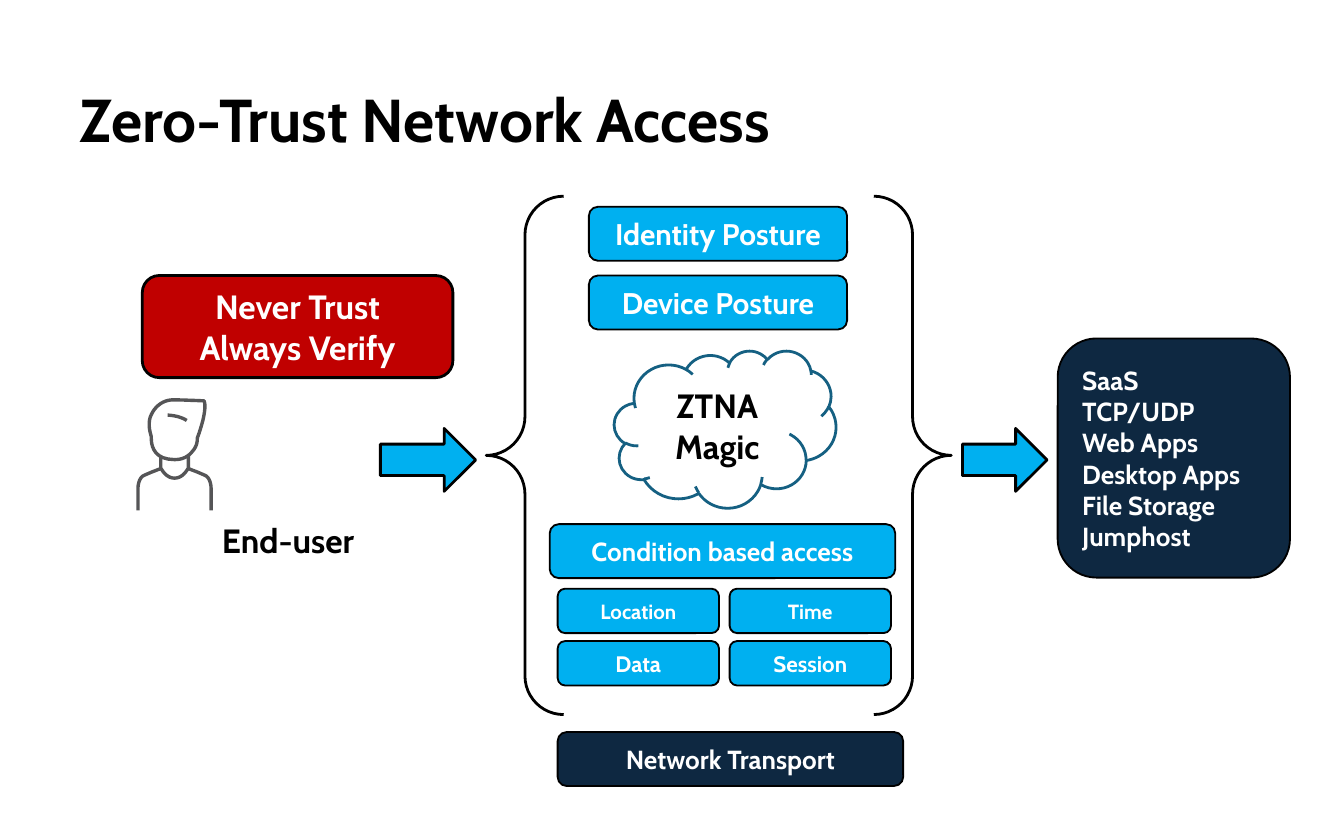
from dataclasses import dataclass
from itertools import product

from pptx import Presentation
from pptx.dml.color import RGBColor
from pptx.enum.shapes import MSO_SHAPE
from pptx.enum.text import MSO_ANCHOR, PP_ALIGN
from pptx.util import Cm, Pt

FONT = "Cabin"
BLACK, WHITE = "000000", "FFFFFF"
BLUE, NAVY, RED = "00B0F0", "0E2841", "C00000"
CLOUD_EDGE, ICON_GRAY = "156082", "555557"


@dataclass
class Box:
    """A preset shape, with its place and size in centimetres."""
    left: float
    top: float
    width: float
    height: float
    text: str = ""
    size: float = 14
    kind: MSO_SHAPE = MSO_SHAPE.ROUNDED_RECTANGLE
    fill: str | None = BLUE
    edge: str = BLACK
    edge_width: float = 1
    color: str = WHITE
    align: PP_ALIGN = PP_ALIGN.CENTER
    inset: tuple = (0.25, 0.13)


def color_of(value: str) -> RGBColor:
    return RGBColor.from_string(value)


def write_text(shape, text, *, size, color=BLACK, align=PP_ALIGN.LEFT,
               anchor=MSO_ANCHOR.TOP, inset=(0.25, 0.13), line_spacing=None):
    frame = shape.text_frame
    frame.word_wrap = True
    frame.vertical_anchor = anchor
    frame.margin_left = frame.margin_right = Cm(inset[0])
    frame.margin_top = frame.margin_bottom = Cm(inset[1])
    frame.text = text
    for paragraph in frame.paragraphs:
        paragraph.alignment = align
        if line_spacing:
            paragraph.line_spacing = line_spacing
        for run in paragraph.runs:
            run.font.name = FONT
            run.font.size = Pt(size)
            run.font.bold = True
            run.font.color.rgb = color_of(color)


def style_shape(shape, fill: str | None, edge: str, edge_width: float) -> None:
    shape.shadow.inherit = False
    if fill:
        shape.fill.solid()
        shape.fill.fore_color.rgb = color_of(fill)
    else:
        shape.fill.background()
    shape.line.color.rgb = color_of(edge)
    shape.line.width = Pt(edge_width)


def draw_box(slide, box: Box) -> None:
    shape = slide.shapes.add_shape(
        box.kind, Cm(box.left), Cm(box.top), Cm(box.width), Cm(box.height))
    style_shape(shape, box.fill, box.edge, box.edge_width)
    if box.text:
        write_text(shape, box.text, size=box.size, color=box.color,
                   align=box.align, anchor=MSO_ANCHOR.MIDDLE, inset=box.inset)


def trace(points: list[tuple], steps: int = 10) -> list[tuple]:
    """Sample a chain of cubic curves: a start, then three points per curve."""
    traced = [points[0]]
    for first in range(0, len(points) - 1, 3):
        curve = points[first:first + 4]
        for step in range(1, steps + 1):
            t = step / steps
            weights = ((1 - t) ** 3, 3 * t * (1 - t) ** 2,
                       3 * t ** 2 * (1 - t), t ** 3)
            traced.append(tuple(
                sum(weight * point[axis] for weight, point in zip(weights, curve))
                for axis in (0, 1)))
    return traced


def draw_user(slide) -> None:
    middle = 3.3

    def mirror(points: list[tuple]) -> list[tuple]:
        return [(2 * middle - x, y) for x, y in points]

    head = trace([
        (3.3, 8.69), (2.84, 8.69), (2.86, 8.33), (2.86, 8.26),
        (2.86, 8.24), (2.77, 8.01), (2.86, 7.84),
        (2.95, 7.65), (3.11, 7.56), (3.28, 7.56),
        (3.45, 7.56), (3.86, 7.58), (3.86, 7.58),
        (3.92, 7.75), (3.77, 8.18), (3.73, 8.28),
        (3.73, 8.33), (3.73, 8.43), (3.64, 8.53),
        (3.58, 8.61), (3.48, 8.69), (3.3, 8.69)])
    hair = trace([(3.17, 7.85), (3.17, 7.85), (3.38, 7.85), (3.53, 7.95)])
    shoulder = [(3.99, 9.65)] + trace([
        (3.99, 9.22), (3.99, 9.22), (3.99, 9.07), (3.9, 9),
        (3.78, 8.94), (3.56, 8.86), (3.56, 8.86)])
    neck_side = [(3.56, 8.62)] + trace([
        (3.56, 8.85), (3.53, 8.9), (3.45, 9.04), (middle, 9.04)])
    neck = neck_side + mirror(neck_side)[-2::-1]

    group = slide.shapes.add_group_shape()
    for stroke in (head, shoulder, neck, hair, mirror(shoulder)):
        points = [(Cm(x), Cm(y)) for x, y in stroke]
        builder = group.shapes.build_freeform(*points[0])
        builder.add_line_segments(points[1:], close=stroke is head)
        style_shape(builder.convert_to_shape(), None, ICON_GRAY, 1.8)


def main() -> None:
    presentation = Presentation()
    presentation.slide_width, presentation.slide_height = Cm(25.4), Cm(15.88)
    slide = presentation.slides.add_slide(presentation.slide_layouts[5])

    # Title
    title = slide.shapes.title
    title.left, title.top, title.width, title.height = (
        Cm(1.5), Cm(1.7), Cm(22.4), Cm(1.27))
    write_text(title, "Zero-Trust Network Access", size=32.4,
               inset=(0, 0), line_spacing=0.9)

    # End user
    draw_user(slide)
    label = slide.shapes.add_textbox(Cm(2.74), Cm(9.7), Cm(5.41), Cm(1.02))
    write_text(label, "End-user", size=18, align=PP_ALIGN.CENTER)

    # Cloud, arrows and application list
    applications = ["SaaS", "TCP/UDP", "Web Apps", "Desktop Apps",
                    "File Storage", "Jumphost"]
    boxes = [
        Box(11.61, 6.63, 4.19, 2.97, "ZTNA Magic", 18, MSO_SHAPE.CLOUD,
            WHITE, CLOUD_EDGE, 1.5, BLACK, inset=(0.18, 0.1)),
        Box(7.19, 8.1, 1.8, 1.19, kind=MSO_SHAPE.RIGHT_ARROW, edge_width=1.5),
        Box(18.19, 8.1, 1.6, 1.19, kind=MSO_SHAPE.RIGHT_ARROW, edge_width=1.5),
        Box(19.99, 6.4, 4.39, 4.52, "\n".join(applications), fill=NAVY,
            align=PP_ALIGN.LEFT),
    ]

    # Posture checks
    for row, subject in enumerate(("Identity", "Device")):
        boxes.append(Box(11.13, 3.91 + 1.3 * row, 4.88, 1.02,
                         f"{subject} Posture", 16))

    # Access conditions in a two by two grid
    boxes.append(Box(10.39, 9.91, 6.53, 1.02, "Condition based access"))
    conditions = ("Location", "Time", "Data", "Session")
    for (row, column), condition in zip(product(range(2), repeat=2), conditions):
        boxes.append(Box(10.54 + 3.25 * column, 11.13 + 0.99 * row, 3.05, 0.84,
                         condition, 11 + row, inset=(0.18, 0.1)))

    # Braces, motto and transport layer
    boxes += [
        Box(9.19, 3.71, 8.79, 9.8, kind=MSO_SHAPE.DOUBLE_BRACE, fill=None,
            edge_width=1.5),
        Box(2.69, 5.21, 5.87, 1.93, "Never Trust\vAlways Verify", 18,
            fill=RED, edge_width=1.5),
        Box(10.54, 13.84, 6.53, 1.02, "Network Transport", fill=NAVY),
    ]
    for box in boxes:
        draw_box(slide, box)

    presentation.save("out.pptx")


if __name__ == "__main__":
    main()
